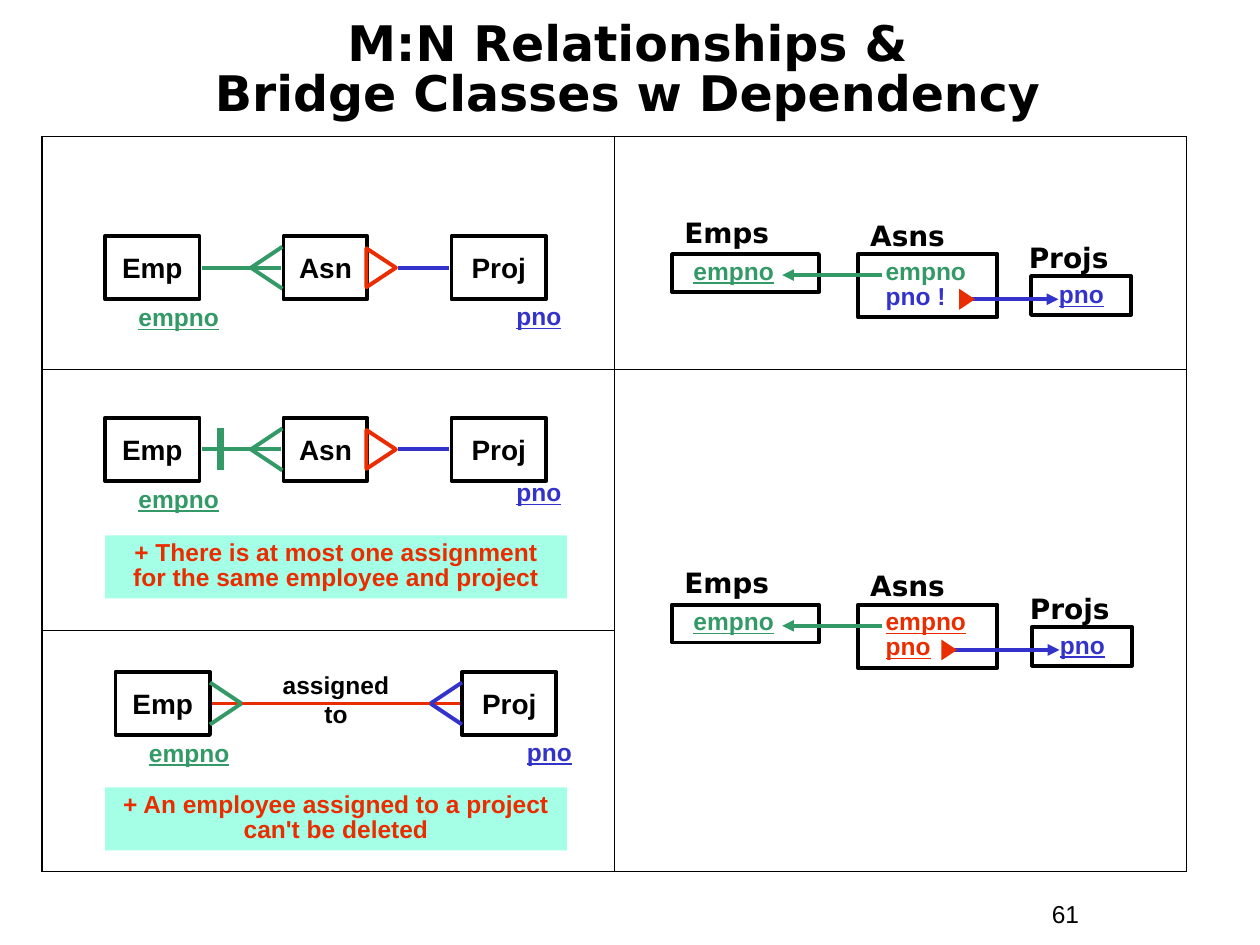
"""Build the slide on M:N relationships and bridge classes, laid out on a 120 by 90 grid."""
import pptx
import pptx.dml.color
import pptx.enum.shapes
import pptx.enum.text
import pptx.oxml.ns
import pptx.util
from dataclasses import dataclass
from lxml import etree

SHAPE = pptx.enum.shapes.MSO_SHAPE
ALIGN = pptx.enum.text.PP_ALIGN
ANCHOR = pptx.enum.text.MSO_ANCHOR
FIT = pptx.enum.text.MSO_AUTO_SIZE


@dataclass(frozen=True)
class Theme:
    black: str = "000000"
    green: str = "339966"
    blue: str = "3333CC"
    red: str = "EA2D00"
    mint: str = "A5FFE7"
    body: str = "Arial"
    display: str = "DejaVu Sans"
    title: int = 28
    name: int = 16
    text: int = 14
    stroke: float = 2.25
    bar: float = 4.5
    outer_border: float = 1.08
    inner_border: float = 0.45


theme = Theme()
TITLE = "M:N Relationships &\vBridge Classes w Dependency"
PAGE = "61"
FRAME_COLUMNS = [54.5, 54.5]
FRAME_ROWS = [22.2, 24.8, 23]
BRIDGES = [
    {"top": 22.5, "pno_drop": 5.9, "dependent": False},
    {"top": 39.8, "pno_drop": 5.4, "dependent": True},
]
DIRECT = {"left": 11, "top": 64, "pno_drop": 5.9, "verb": "assigned\vto"}
NOTES = [
    (51, "+ There is at most one assignment for the same employee and project"),
    (75, "+ An employee assigned to a project can't be deleted"),
]
SCHEMAS = [
    {"top": 24.2, "projs_left": 98.2, "mark": 92.1,
     "keys": [("empno", theme.green, False), ("pno !", theme.blue, False)]},
    {"top": 57.6, "projs_left": 98.3, "mark": 90.4,
     "keys": [("empno", theme.red, True), ("pno", theme.red, True)]},
]

deck = pptx.Presentation()
deck.slide_width, deck.slide_height = pptx.util.Inches(10), pptx.util.Inches(7.5)
UNIT = deck.slide_width / 120
slide = deck.slides.add_slide(deck.slide_layouts[6])


def grid(*values):
    return [round(value * UNIT) for value in values]


def rgb(value):
    return pptx.dml.color.RGBColor.from_string(value)


def write(part, lines, size=theme.text, font=theme.body, bold=True, align=ALIGN.LEFT,
          spacing=None, anchor=ANCHOR.TOP, wrap=True, fit=FIT.SHAPE_TO_FIT_TEXT, indent=0):
    frame = part.text_frame
    frame.word_wrap, frame.auto_size, frame.vertical_anchor = wrap, fit, anchor
    frame.margin_left = pptx.util.Inches(0.1 + indent)
    for index, (words, color, underline) in enumerate(lines):
        paragraph = frame.add_paragraph() if index else frame.paragraphs[0]
        paragraph.text, paragraph.alignment = words, align
        if spacing:
            paragraph.line_spacing = spacing
        face = paragraph.font
        face.name, face.size, face.bold = font, pptx.util.Pt(size), bold
        face.underline = underline
        face.color.rgb = rgb(color)


def label(box, words, color=theme.black, underline=False, **style):
    write(slide.shapes.add_textbox(*grid(*box)), [(words, color, underline)], **style)


def block(box, kind=SHAPE.RECTANGLE, fill=None, line=None, turn=0):
    part = slide.shapes.add_shape(kind, *grid(*box))
    part.shadow.inherit = False
    part.rotation = turn
    if fill:
        part.fill.solid()
        part.fill.fore_color.rgb = rgb(fill)
    else:
        part.fill.background()
    if line:
        part.line.color.rgb = rgb(line)
        part.line.width = pptx.util.Pt(theme.stroke)
    else:
        part.line.fill.background()
    return part


def link(start, end, color, width=theme.stroke, arrow=False):
    line = slide.shapes.add_connector(
        pptx.enum.shapes.MSO_CONNECTOR.STRAIGHT, *grid(*start, *end))
    line.line.color.rgb = rgb(color)
    line.line.width = pptx.util.Pt(width)
    if arrow:
        etree.SubElement(line.line._get_or_add_ln(), pptx.oxml.ns.qn("a:tailEnd"), type="triangle")
    etree.SubElement(line._element.spPr, pptx.oxml.ns.qn("a:effectLst"))


def pointer(x, y, width, height, **paint):
    block((x - height / 2, y - width / 2, height, width),
          SHAPE.ISOSCELES_TRIANGLE, turn=90, **paint)


def crow_foot(apex, toes, middle, color):
    for spread in (-2, 2):
        link((apex, middle), (toes, middle + spread), color)


def entity(left, top, name, width=9):
    write(block((left, top, width, 6), line=theme.black), [(name, theme.black, False)],
          size=theme.name, align=ALIGN.CENTER, anchor=ANCHOR.MIDDLE, wrap=False, fit=FIT.NONE)


def emp_and_proj(left, top, pno_drop):
    entity(left, top, "Emp")
    entity(left + 33, top, "Proj")
    label((left + 2, top + 6, 14, 3.7), "empno", theme.green, True, spacing=0.9)
    label((left + 38, top + pno_drop, 9, 3.7), "pno", theme.blue, True, spacing=0.9)


def relation(left, top, width, height, name, keys, title, indent=0.12, spacing=0.85):
    title_left, title_rise, title_width = title
    label((title_left, top - title_rise, title_width, 4.4), name,
          size=theme.name, font=theme.display)
    write(block((left, top, width, height), line=theme.black), keys,
          spacing=spacing, indent=indent)


def draw_frame():
    rows, columns = len(FRAME_ROWS), len(FRAME_COLUMNS)
    frame = slide.shapes.add_table(
        rows, columns, *grid(4, 13, sum(FRAME_COLUMNS), sum(FRAME_ROWS))).table
    frame.first_row = frame.horz_banding = False
    for column, width in zip(frame.columns, grid(*FRAME_COLUMNS)):
        column.width = width
    for row, height in zip(frame.rows, grid(*FRAME_ROWS)):
        row.height = height
    for r in range(rows):
        for c in range(columns):
            cell = frame.cell(r, c)
            edges = {"L": c == 0, "R": c == columns - 1, "T": r == 0, "B": r == rows - 1}
            for side, outer in edges.items():
                weight = theme.outer_border if outer else theme.inner_border
                edge = etree.SubElement(cell._tc.get_or_add_tcPr(), pptx.oxml.ns.qn("a:ln" + side),
                                        w=str(pptx.util.Pt(weight)))
                paint = etree.SubElement(edge, pptx.oxml.ns.qn("a:solidFill"))
                etree.SubElement(paint, pptx.oxml.ns.qn("a:srgbClr"), val=theme.black)
            cell.fill.background()
    frame.cell(1, 1).merge(frame.cell(2, 1))


def draw_bridge(top, pno_drop, dependent):
    middle = top + 3
    emp_and_proj(10, top, pno_drop)
    entity(27, top, "Asn", 8)
    link((19.2, middle), (26.8, middle), theme.green)
    crow_foot(23.9, 26.9, middle, theme.green)
    link((42.8, middle), (37.9, middle), theme.blue)
    pointer(36.3, middle, 2.8, 3.7, line=theme.red)
    if dependent:
        link((21, middle - 2), (21, middle + 2), theme.green, theme.bar)


def draw_direct(left, top, pno_drop, verb):
    middle = top + 3
    emp_and_proj(left, top, pno_drop)
    link((left + 9.2, middle), (left + 32.8, middle), theme.red)
    crow_foot(left + 12, left + 9, middle, theme.green)
    crow_foot(left + 30, left + 33, middle, theme.blue)
    label((left + 6, top - 0.8, 30, 6.8), verb, align=ALIGN.CENTER)


def draw_schema(top, projs_left, mark, keys):
    relation(64, top, 14, 3.6, "Emps", [("empno", theme.green, True)], (64, 4.3, 11), indent=0.07)
    relation(81.7, top, 13.3, 6, "Asns", keys, (81.7, 4, 17.3))
    relation(projs_left, top + 2.1, 9.5, 3.7, "Projs", [("pno", theme.blue, True)],
             (projs_left - 1.4, 4, 13.8), spacing=0.9)
    link((84, top + 2), (74.5, top + 2), theme.green, arrow=True)
    link((mark, top + 4.3), (projs_left + 2.6, top + 4.3), theme.blue, arrow=True)
    pointer(mark, top + 4.3, 1.5, 2, fill=theme.red)


draw_frame()
label((8.5, 1.3, 102.5, 11), TITLE, size=theme.title, font=theme.display, spacing=0.85,
      align=ALIGN.CENTER, anchor=ANCHOR.MIDDLE, fit=FIT.NONE)
label((99, 85, 11, 4), PAGE, bold=False)
for schema in SCHEMAS:
    draw_schema(**schema)
for bridge in BRIDGES:
    draw_bridge(**bridge)
draw_direct(**DIRECT)
for note_top, note in NOTES:
    write(block((10, note_top, 44, 6), fill=theme.mint), [(note, theme.red, False)],
          align=ALIGN.CENTER, spacing=0.85)
deck.save("out.pptx")
